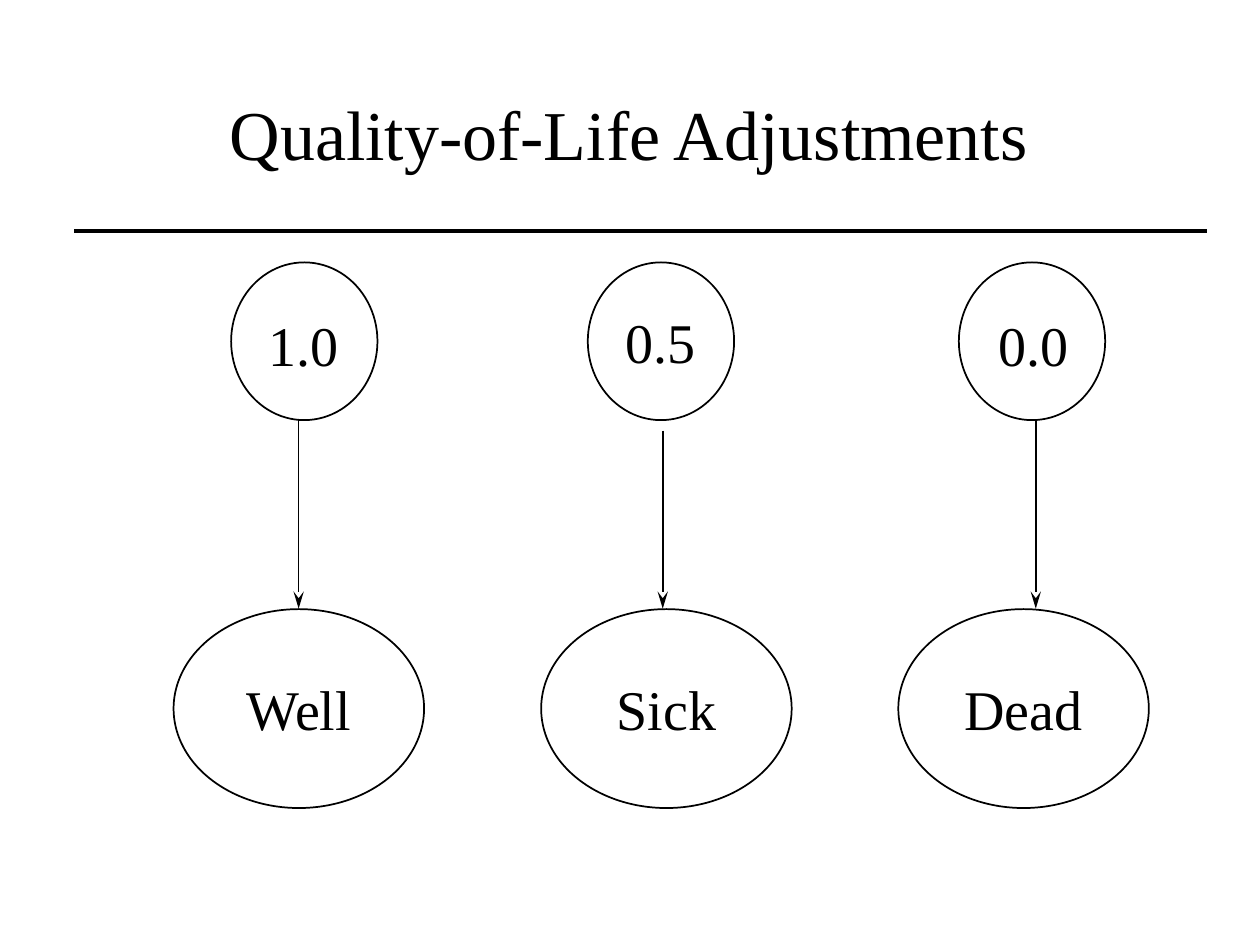
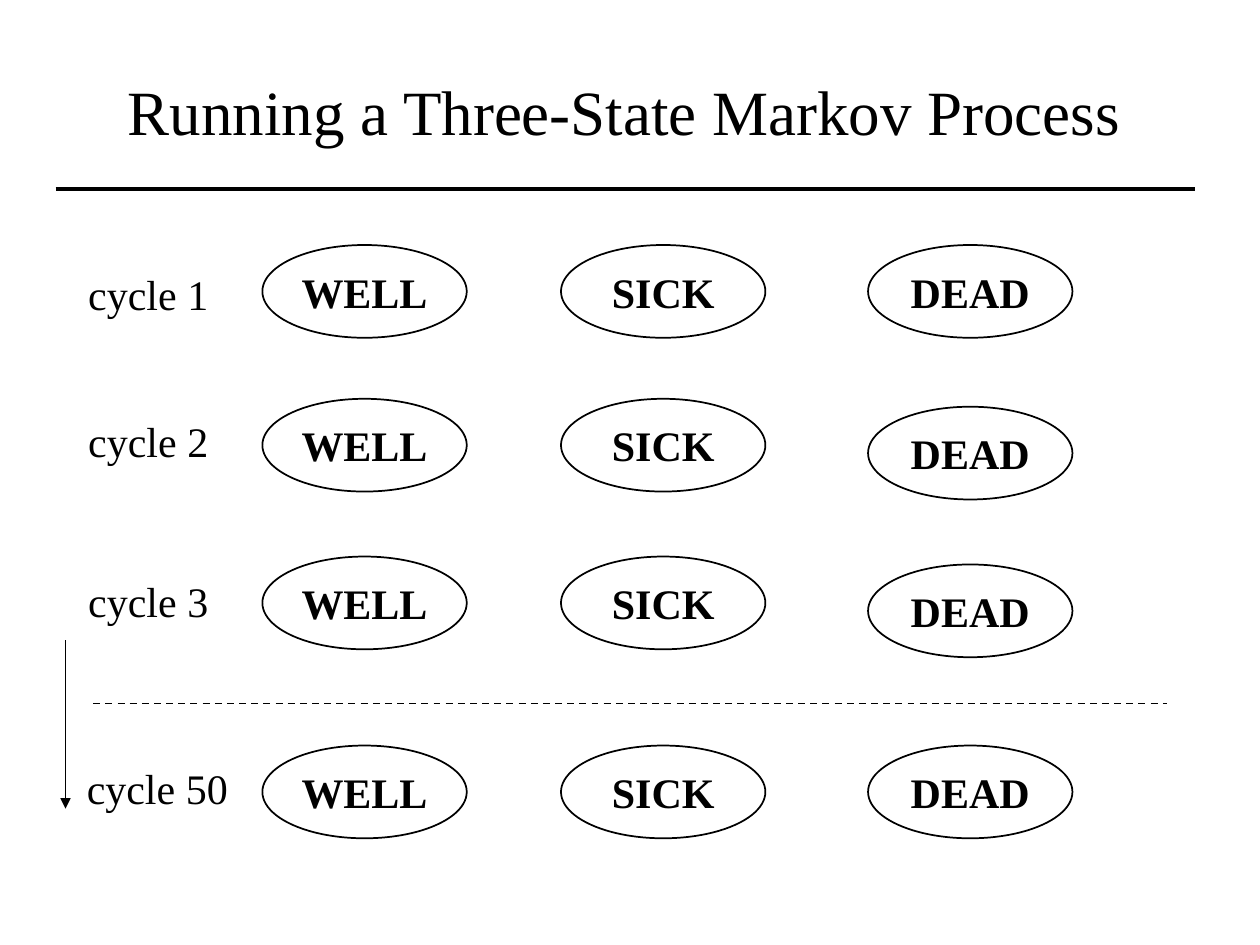
"""Build two slides on health-state utilities and a three-state Markov process."""
from lxml.etree import SubElement
from pptx import Presentation
from pptx.dml.color import RGBColor as RGB
from pptx.enum.dml import MSO_LINE as Dash
from pptx.enum.shapes import MSO_CONNECTOR as Conn, MSO_SHAPE as Shape
from pptx.enum.text import MSO_ANCHOR as Anchor, MSO_AUTO_SIZE as Auto, PP_ALIGN as Align
from pptx.oxml.ns import qn
from pptx.util import Cm, Pt

COLORS = {"ink": "000000", "paper": "FFFFFF"}
FONT = "Times New Roman"
INK = RGB.from_string(COLORS["ink"])


def write(sp, text, size, bold=False, align=Align.CENTER, anchor=Anchor.MIDDLE, wrap=False):
    tf = sp.text_frame
    tf.auto_size = Auto.NONE
    tf.word_wrap = wrap
    tf.vertical_anchor = anchor
    p = tf.paragraphs[0]
    p.alignment = align
    r = p.add_run()
    r.text = text
    r.font.name = FONT
    r.font.size = Pt(size)
    r.font.bold = bold
    r.font.color.rgb = INK


def draw_line(s, x1, y1, x2, y2, width=1, head=None, length="med", dash=None):
    c = s.shapes.add_connector(Conn.STRAIGHT, Cm(x1), Cm(y1), Cm(x2), Cm(y2))
    c.line.color.rgb = INK
    c.line.width = Pt(width)
    if dash:
        c.line.dash_style = dash
    spPr = c._element.spPr
    if head:
        SubElement(spPr.find(qn("a:ln")), qn("a:tailEnd"), type=head, w="med", len=length)
    SubElement(spPr, qn("a:effectLst"))


prs = Presentation()
prs.slide_width, prs.slide_height = Cm(25.4), Cm(19.05)

titles = [
    ("Quality-of-Life Adjustments", 40, (1.88, 1.7, 21.59, 1.93), (1.5, 24.33, 4.66)),
    ("Running a Three-State Markov Process", 36, (1.51, 0.64, 22.15, 3.18), (1.12, 24.08, 3.81)),
]
slides = []
for text, size, box, (x1, x2, y) in titles:
    s = prs.slides.add_slide(prs.slide_layouts[5])
    s.background.fill.solid()
    s.background.fill.fore_color.rgb = RGB.from_string(COLORS["paper"])
    sp = s.shapes.title
    sp.left, sp.top, sp.width, sp.height = map(Cm, box)
    write(sp, text, size, wrap=True)
    draw_line(s, x1, y, x2, y, width=2)
    slides.append(s)
quality, markov = slides

ovals = []
for state, x in [("Well", 3.5), ("Sick", 10.91), ("Dead", 18.11)]:
    ovals.append((quality, (x, 12.28, 5.05, 4.01), state, 32, False))
for utility, x in [("", 4.66), ("0.5", 11.85), ("", 19.33)]:
    ovals.append((quality, (x, 5.29, 2.95, 3.18), utility, 32, False))

labels = [
    (quality, "1.0", 32, (5.16, 6.14, 1.9, 1.6), Align.LEFT),
    (quality, "0.0", 32, (19.56, 6.14, 2.54, 1.6), Align.CENTER),
]
cycles = [
    ("cycle 1", 1.53, 2.95, 5.28, 4.94, 0),
    ("cycle 2", 1.53, 2.95, 8.26, 8.04, 0.16),
    ("cycle 3", 1.53, 2.95, 11.47, 11.22, 0.16),
    ("cycle 50", 1.5, 3.35, 15.24, 15.03, 0),
]
for cycle, label_x, label_w, label_y, oval_y, dead_drop in cycles:
    labels.append((markov, cycle, 24, (label_x, label_y, label_w, 1.27), Align.LEFT))
    for state, x, drop in [("WELL", 5.29, 0), ("SICK", 11.31, 0), ("DEAD", 17.5, dead_drop)]:
        ovals.append((markov, (x, oval_y + drop, 4.12, 1.87), state, 24, True))

for s, box, text, size, bold in ovals:
    sp = s.shapes.add_shape(Shape.OVAL, *map(Cm, box))
    sp.shadow.inherit = False
    sp.fill.background()
    sp.line.color.rgb = INK
    sp.line.width = Pt(1)
    if text:
        write(sp, text, size, bold)

for s, text, size, box, align in labels:
    sp = s.shapes.add_textbox(*map(Cm, box))
    write(sp, text, size, align=align, anchor=Anchor.TOP)

for x, top in [(6.02, 8.46), (13.36, 8.68), (20.88, 8.46)]:
    draw_line(quality, x, top, x, 12.27, head="stealth", length="lg")

draw_line(markov, 1.88, 14.18, 23.52, 14.18, dash=Dash.DASH)
draw_line(markov, 1.32, 12.91, 1.32, 16.3, head="triangle")

prs.save("out.pptx")
